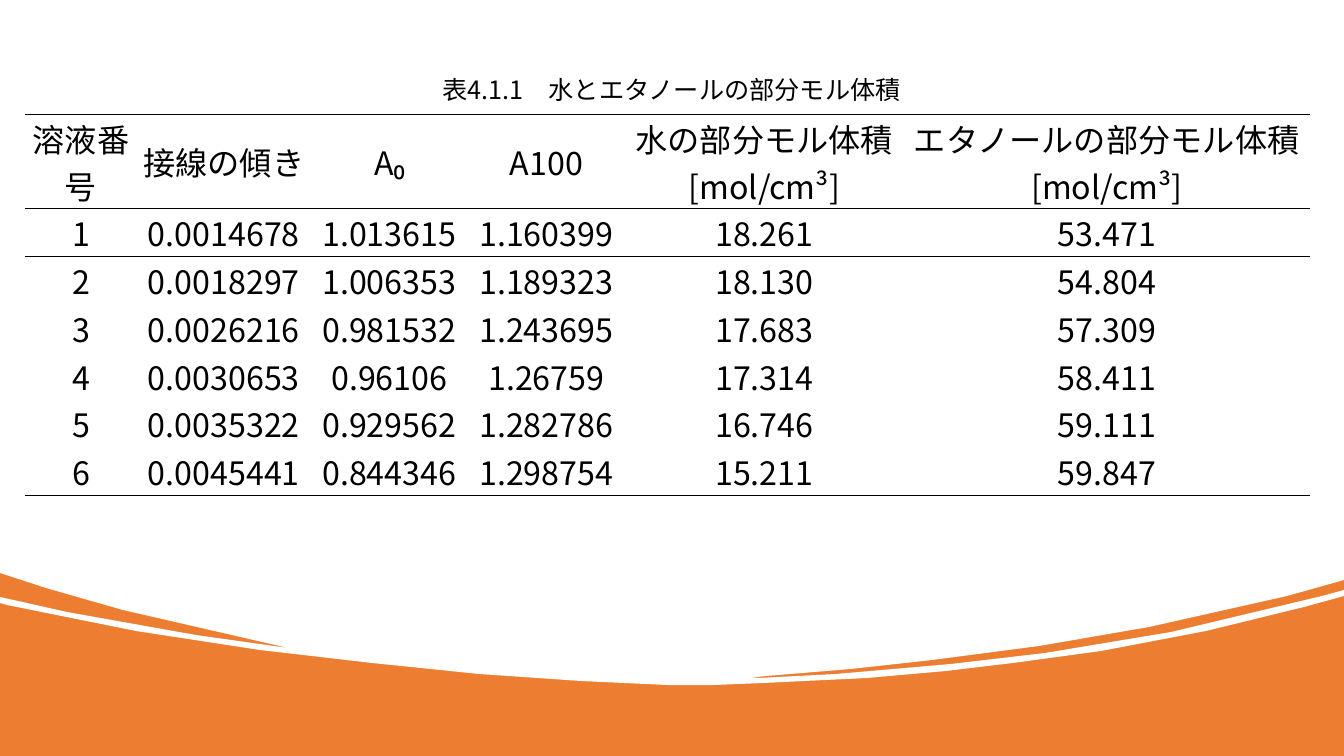
from lxml import etree
from pptx import Presentation
from pptx.dml.color import RGBColor
from pptx.enum.shapes import MSO_SHAPE
from pptx.enum.text import MSO_ANCHOR, MSO_AUTO_SIZE, PP_ALIGN
from pptx.oxml.ns import qn
from pptx.util import Pt

EMU_PER_PX = 914400 / 100.8
SLIDE_WIDTH, SLIDE_HEIGHT = 1344, 756
TITLE_ONLY_LAYOUT = 5
PLAIN_TABLE_STYLE = "{2D5ABB26-0587-4C30-8999-92F81FD0307C}"

RECTANGLE = MSO_SHAPE.RECTANGLE
CENTER = PP_ALIGN.CENTER
TOP, MIDDLE = MSO_ANCHOR.TOP, MSO_ANCHOR.MIDDLE
NO_AUTOFIT = MSO_AUTO_SIZE.NONE

ORANGE = RGBColor(0xED, 0x7D, 0x31)
WHITE = RGBColor(0xFF, 0xFF, 0xFF)
BLACK = RGBColor(0x00, 0x00, 0x00)

CAPTION = "表4.1.1　水とエタノールの部分モル体積"
COLUMN_WIDTHS = [112, 174, 157, 157, 279, 406]
HEADER_HEIGHT, ROW_HEIGHT = 85, 47
TABLE_ROWS = [
    ["溶液番号", "接線の傾き", "A₀", "A100",
     "水の部分モル体積 [mol/cm³]", "エタノールの部分モル体積 [mol/cm³]"],
    ["1", "0.0014678", "1.013615", "1.160399", "18.261", "53.471"],
    ["2", "0.0018297", "1.006353", "1.189323", "18.130", "54.804"],
    ["3", "0.0026216", "0.981532", "1.243695", "17.683", "57.309"],
    ["4", "0.0030653", "0.96106", "1.26759", "17.314", "58.411"],
    ["5", "0.0035322", "0.929562", "1.282786", "16.746", "59.111"],
    ["6", "0.0045441", "0.844346", "1.298754", "15.211", "59.847"],
]

RIGHT_CRESCENT = [
    (1344, 580), (1287, 596), (1149, 627), (1039, 646), (932, 660),
    (851, 669), (766, 676), (749, 678), (759, 678), (836, 674),
    (951, 664), (1045, 653), (1171, 632), (1322, 596), (1344, 590),
]
LOWER_WAVE = [
    (1344, 596), (1304, 607), (1206, 631), (1101, 651), (1013, 663),
    (946, 671), (867, 678), (764, 683), (714, 685), (667, 685),
    (581, 681), (479, 674), (372, 663), (260, 650), (136, 631),
    (7, 605), (0, 603),
]
LEFT_CRESCENT = [
    (0, 597), (67, 612), (196, 635), (288, 648), (284, 647),
    (123, 610), (46, 588), (0, 573),
]
WHITE_AREA = [(0, 0), (SLIDE_WIDTH, 0)] + RIGHT_CRESCENT + LOWER_WAVE + LEFT_CRESCENT


def px(length):
    return round(length * EMU_PER_PX)


class SlideBuilder:
    font_name = "Noto Sans CJK JP"
    text_color = BLACK
    border_width = Pt(0.5)

    def __init__(self, slide):
        self.slide = slide

    def paint(self, shape, color):
        shape.shadow.inherit = False
        shape.fill.solid()
        shape.fill.fore_color.rgb = color
        shape.line.fill.background()

    def rectangle(self, left, top, width, height, color):
        shape = self.slide.shapes.add_shape(
            RECTANGLE, px(left), px(top), px(width), px(height))
        self.paint(shape, color)

    def polygon(self, points, color):
        builder = self.slide.shapes.build_freeform(*points[0], scale=EMU_PER_PX)
        builder.add_line_segments(points[1:], close=True)
        self.paint(builder.convert_to_shape(), color)

    def format_paragraph(self, paragraph, size):
        paragraph.alignment = CENTER
        paragraph.line_spacing = 1.0
        paragraph.space_before = Pt(0)
        paragraph.font.size = Pt(size)
        paragraph.font.name = self.font_name
        paragraph.font.color.rgb = self.text_color

    def use_font_for_japanese(self, shape):
        """Repeat each Latin typeface as the East Asian one."""
        for latin in list(shape.element.iter(qn("a:latin"))):
            east_asian = etree.Element(qn("a:ea"), typeface=self.font_name)
            latin.addnext(east_asian)

    def title(self, text, left, top, width, height, size):
        """Place the title above everything drawn so far."""
        title = self.slide.shapes.title
        title.left, title.top = px(left), px(top)
        title.width, title.height = px(width), px(height)
        frame = title.text_frame
        frame.text = text
        frame.word_wrap = True
        frame.auto_size = NO_AUTOFIT
        frame.vertical_anchor = TOP
        self.format_paragraph(frame.paragraphs[0], size)
        self.use_font_for_japanese(title)
        title.element.getparent().append(title.element)

    def border(self, cell, tags):
        properties = cell._tc.get_or_add_tcPr()
        for position, tag in enumerate(tags):
            line = etree.Element(qn(tag), w=str(self.border_width))
            fill = etree.SubElement(line, qn("a:solidFill"))
            etree.SubElement(fill, qn("a:srgbClr"), val=str(self.text_color))
            properties.insert(position, line)

    def table(self, rows, left, top, column_widths, row_heights, size):
        """Add a table ruled above and below its header and below its last row."""
        graphic_frame = self.slide.shapes.add_table(
            len(rows), len(column_widths), px(left), px(top),
            px(sum(column_widths)), px(sum(row_heights)))
        table = graphic_frame.table
        table.first_row = table.horz_banding = False
        style = next(graphic_frame.element.iter(qn("a:tableStyleId")))
        style.text = PLAIN_TABLE_STYLE
        for column, width in zip(table.columns, column_widths):
            column.width = px(width)
        borders = {0: ["a:lnT", "a:lnB"], 1: ["a:lnT"], len(rows) - 1: ["a:lnB"]}
        for row_index, texts in enumerate(rows):
            table.rows[row_index].height = px(row_heights[row_index])
            for column_index, text in enumerate(texts):
                cell = table.cell(row_index, column_index)
                cell.text = text
                cell.vertical_anchor = MIDDLE
                cell.margin_left = cell.margin_right = cell.margin_top = px(1)
                cell.margin_bottom = 0
                cell.fill.background()
                self.format_paragraph(cell.text_frame.paragraphs[0], size)
                self.border(cell, borders.get(row_index, []))
        self.use_font_for_japanese(graphic_frame)


def main():
    presentation = Presentation()
    presentation.slide_width = px(SLIDE_WIDTH)
    presentation.slide_height = px(SLIDE_HEIGHT)
    layout = presentation.slide_layouts[TITLE_ONLY_LAYOUT]
    builder = SlideBuilder(presentation.slides.add_slide(layout))

    builder.rectangle(0, 0, SLIDE_WIDTH, SLIDE_HEIGHT, ORANGE)
    builder.polygon(WHITE_AREA, WHITE)
    row_heights = [HEADER_HEIGHT] + [ROW_HEIGHT] * (len(TABLE_ROWS) - 1)
    builder.table(TABLE_ROWS, 25, 114, COLUMN_WIDTHS, row_heights, size=23)
    builder.title(CAPTION, 156, 69, 1031, 40, size=18)
    presentation.save("out.pptx")


if __name__ == "__main__":
    main()
